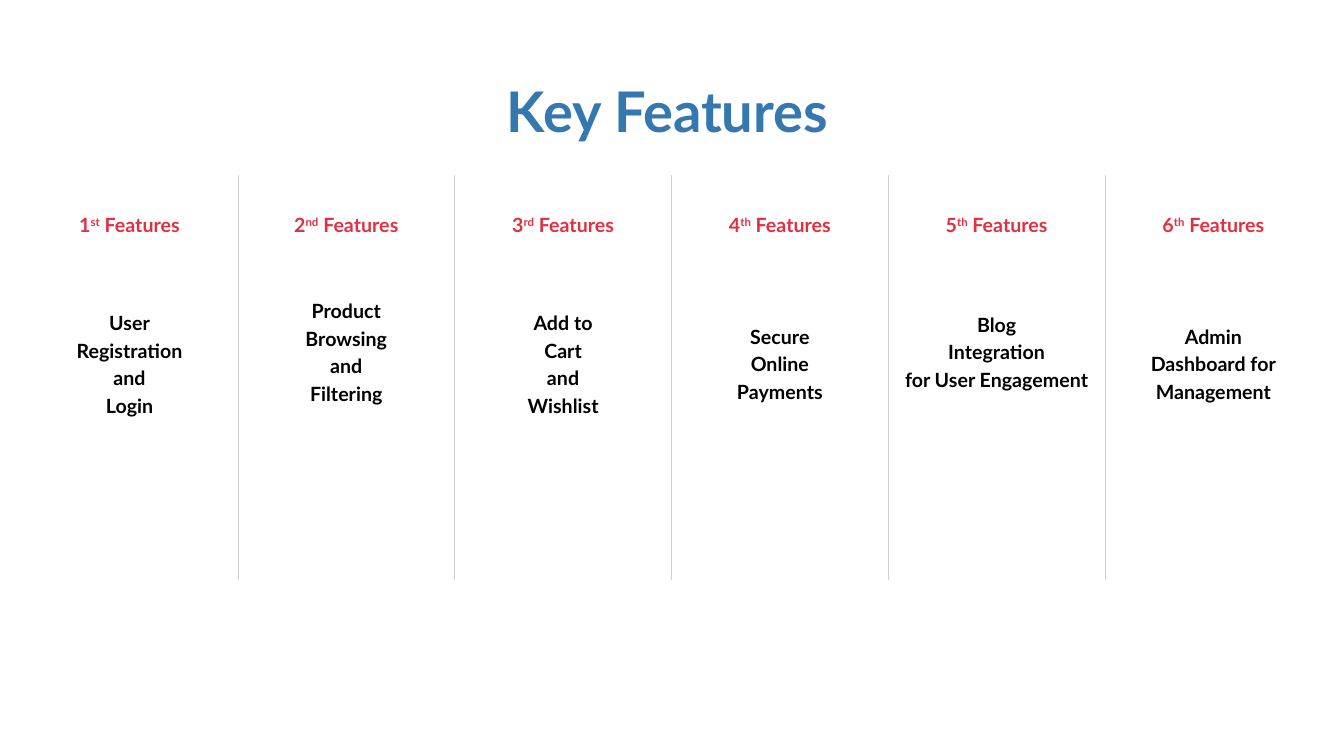
from lxml import etree
from pptx import Presentation
from pptx import util as u
from pptx.dml.color import RGBColor
from pptx.enum import text
from pptx.oxml import ns

PX = 9144  # EMU per px, 100 px to the inch
COLORS = {"title": "3578AF", "heading": "E23042", "body": "000000", "rule": "D0CECE"}
FONT = "Lato"
ROW_HEIGHTS = (98, 179, 124)
MARGIN = 5
LIFT = 24  # extra bottom margin of the cells whose text sits higher

# ordinal suffix, lines of the feature, extra bottom margin
FEATURES = [
    ("st", ["User", "Registration", "and", "Login"], 0),
    ("nd", ["Product", "Browsing", "and", "Filtering"], LIFT),
    ("rd", ["Add to", "Cart", "and", "Wishlist"], 0),
    ("th", ["Secure", "Online", "Payments"], 0),
    ("th", ["Blog", "Integration", "for User Engagement"], LIFT),
    ("th", ["Admin", "Dashboard for", "Management"], 0),
]


def px(n):
    return u.Emu(n * PX)


def style(p, size, color):
    p.alignment = text.PP_ALIGN.CENTER
    p.font.name = FONT
    p.font.size = u.Pt(size)
    p.font.bold = True
    p.font.color.rgb = RGBColor.from_string(COLORS[color])


def add_title(slide, x, y, w, h):
    tf = slide.shapes.add_textbox(px(x), px(y), px(w), px(h)).text_frame
    tf.word_wrap = True
    tf.vertical_anchor = text.MSO_ANCHOR.MIDDLE
    p = tf.paragraphs[0]
    p.text = "Key Features"
    p.line_spacing = 0.9
    style(p, 40, "title")


def set_borders(cell, ruled):
    """Draw the sides named in ruled and clear the others."""
    tcPr = cell._tc.get_or_add_tcPr()
    for side in "LRTB":
        ln = etree.SubElement(tcPr, ns.qn(f"a:ln{side}"), w=str(u.Pt(0.5)))
        if side in ruled:
            fill = etree.SubElement(ln, ns.qn("a:solidFill"))
            etree.SubElement(fill, ns.qn("a:srgbClr"), val=COLORS["rule"])
        else:
            etree.SubElement(ln, ns.qn("a:noFill"))


def fill_heading(cell, number, suffix):
    p = cell.text_frame.paragraphs[0]
    for part in (str(number), suffix, " Features"):
        r = p.add_run()
        r.text = part
        if part == suffix:
            r._r.get_or_add_rPr().set("baseline", "30000")
    style(p, 14, "heading")


def fill_feature(cell, lines, lift):
    cell.margin_bottom = px(MARGIN + lift)
    tf = cell.text_frame
    tf.text = "\n".join(lines)
    for i, p in enumerate(tf.paragraphs):
        if i:
            p.space_before = u.Pt(2.8)
        style(p, 14, "body")


def add_features(slide, x, y, w):
    count = len(FEATURES)
    frame = slide.shapes.add_table(len(ROW_HEIGHTS), count, px(x), px(y),
                                   px(w), px(sum(ROW_HEIGHTS)))
    table = frame.table
    table.first_row = table.horz_banding = False
    for row, height in zip(table.rows, ROW_HEIGHTS):
        row.height = px(height)
    for col, (suffix, lines, lift) in enumerate(FEATURES):
        table.columns[col].width = px(w // count)
        ruled = ("L" if col else "") + ("R" if col < count - 1 else "")
        for row in range(len(ROW_HEIGHTS)):
            cell = table.cell(row, col)
            cell.vertical_anchor = text.MSO_ANCHOR.MIDDLE
            set_borders(cell, ruled)
            cell.fill.background()
        fill_heading(table.cell(0, col), col + 1, suffix)
        fill_feature(table.cell(1, col), lines, lift)


def main():
    prs = Presentation()
    prs.slide_width, prs.slide_height = px(1333), px(750)
    slide = prs.slides.add_slide(prs.slide_layouts[6])
    add_title(slide, 83, 78, 1158, 71)
    add_features(slide, 21, 174, 1290)
    prs.save("out.pptx")


if __name__ == "__main__":
    main()
